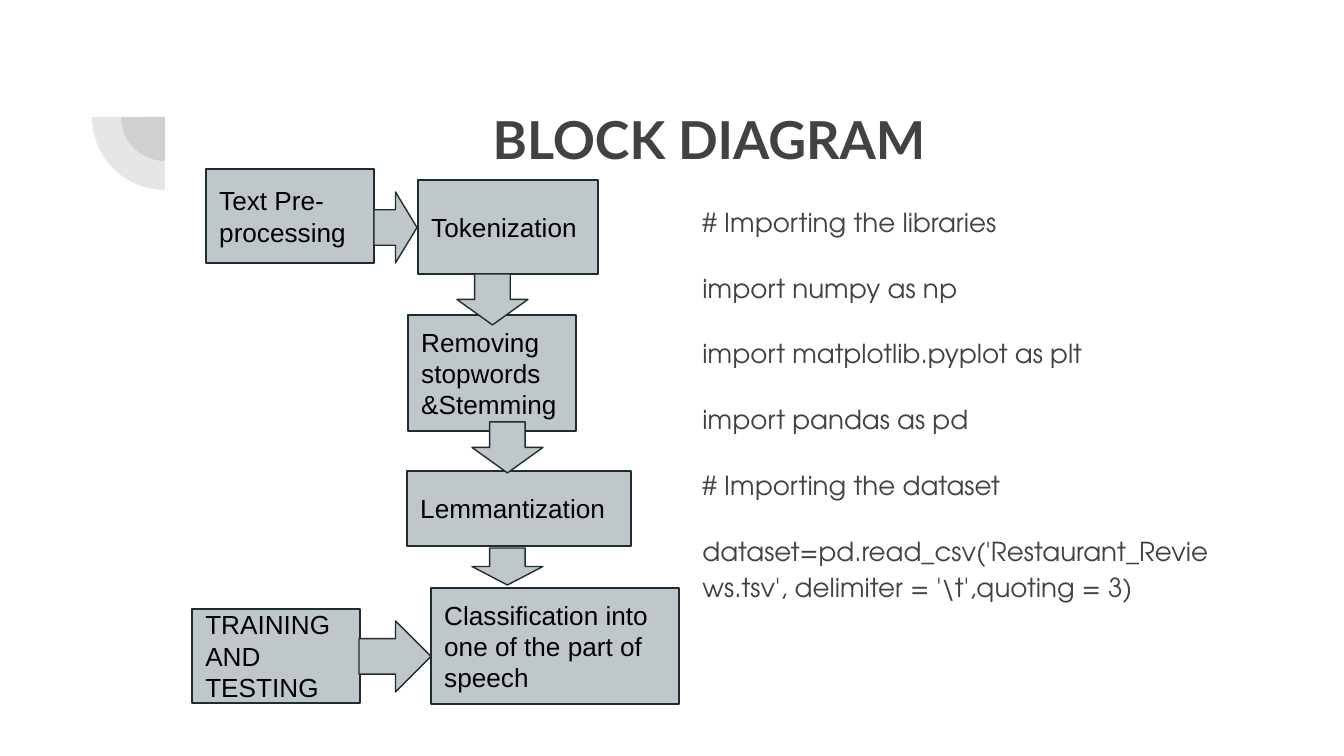
from pptx import Presentation
from pptx.dml.color import RGBColor
from pptx.enum.shapes import MSO_SHAPE
from pptx.enum.text import MSO_ANCHOR, MSO_AUTO_SIZE, PP_ALIGN
from pptx.util import Pt
from lxml.etree import SubElement
from pptx.oxml.ns import qn

COLORS = {"ink": "424242", "block": "BFC7CA", "edge": "1E2D31", "label": "000000"}
SCALE = 914400 / 134.4
INSET = 13.44

TITLE = "BLOCK DIAGRAM"
CODE = [
    "# Importing the libraries",
    "import numpy as np",
    "import matplotlib.pyplot as plt",
    "import pandas as pd",
    "# Importing the dataset",
    "dataset=pd.read_csv('Restaurant_Reviews.tsv', delimiter = '\\t',quoting = 3)",
]
BLOCKS = [
    ("Text Pre-processing", (206, 169, 168, 94)),
    ("Tokenization", (418, 180, 180, 94)),
    ("Removing stopwords &Stemming", (408, 315, 168, 116)),
    ("Lemmantization", (407, 471, 224, 75)),
    ("Classification into one of the part of speech", (431, 588, 248, 116)),
    ("TRAINING AND TESTING", (192, 609, 168, 94)),
]
ARROWS = [
    (MSO_SHAPE.RIGHT_ARROW, (374, 192, 43, 71)),
    (MSO_SHAPE.DOWN_ARROW, (457, 274, 71, 51)),
    (MSO_SHAPE.DOWN_ARROW, (472, 422, 71, 51)),
    (MSO_SHAPE.DOWN_ARROW, (472, 548, 71, 37)),
    (MSO_SHAPE.RIGHT_ARROW, (359, 621, 72, 71)),
]
PIE_CENTER = (165, 117)
PIE_RADII = [44, 73]


def emu(pixels):
    return round(pixels * SCALE)


def color(name):
    return RGBColor.from_string(COLORS[name])


def add_part(kind, place, fill):
    part = slide.shapes.add_shape(kind, *map(emu, place))
    part.shadow.inherit = False
    part.fill.solid()
    part.fill.fore_color.rgb = color(fill)
    return part


def add_outlined(kind, place):
    part = add_part(kind, place, "block")
    part.line.color.rgb = color("edge")
    part.line.width = Pt(0.75)
    return part


def write(holder, lines, font, size, ink, align, anchor, bold=False):
    frame = holder.text_frame
    frame.text = "\n".join(lines)
    frame.word_wrap = True
    frame.auto_size = MSO_AUTO_SIZE.NONE
    frame.vertical_anchor = anchor
    frame.margin_left = frame.margin_right = emu(INSET)
    frame.margin_top = frame.margin_bottom = emu(INSET)
    for para in frame.paragraphs:
        para.alignment = align
        for span in para.runs:
            span.font.name = font
            span.font.size = Pt(size)
            span.font.bold = bold
            span.font.color.rgb = color(ink)


def move(holder, place):
    holder.left, holder.top, holder.width, holder.height = map(emu, place)


deck = Presentation()
deck.slide_width, deck.slide_height = emu(1344), emu(756)
slide = deck.slides.add_slide(deck.slide_layouts[1])

title, body = slide.placeholders
move(title, (192, 94, 1034, 146))
write(title, [TITLE], "Lato", 28, "ink", PP_ALIGN.CENTER, MSO_ANCHOR.TOP, True)

move(body, (689, 188, 535, 504))
write(body, CODE, "TeX Gyre Adventor", 14, "ink", PP_ALIGN.LEFT, MSO_ANCHOR.TOP)
for index, para in enumerate(body.text_frame.paragraphs):
    para.line_spacing = 1.15
    para.space_before = Pt(16 if index else 0)
    properties = para._p.get_or_add_pPr()
    properties.set("marL", "0")
    properties.set("indent", "0")
    SubElement(properties, qn("a:buNone"))

for radius in PIE_RADII:
    left, top = (middle - radius for middle in PIE_CENTER)
    pie = add_part(MSO_SHAPE.PIE, (left, top, 2 * radius, 2 * radius), "ink")
    pie.adjustments[0], pie.adjustments[1] = 54, 108
    pie.line.fill.background()
    shade = pie.fill._xPr.find(qn("a:solidFill"))[0]
    SubElement(shade, qn("a:alpha")).set("val", "13000")

for label, place in BLOCKS:
    block = add_outlined(MSO_SHAPE.RECTANGLE, place)
    write(block, [label], "Arial", 14, "label", PP_ALIGN.LEFT, MSO_ANCHOR.MIDDLE)

for kind, place in ARROWS:
    add_outlined(kind, place)

deck.save("out.pptx")
